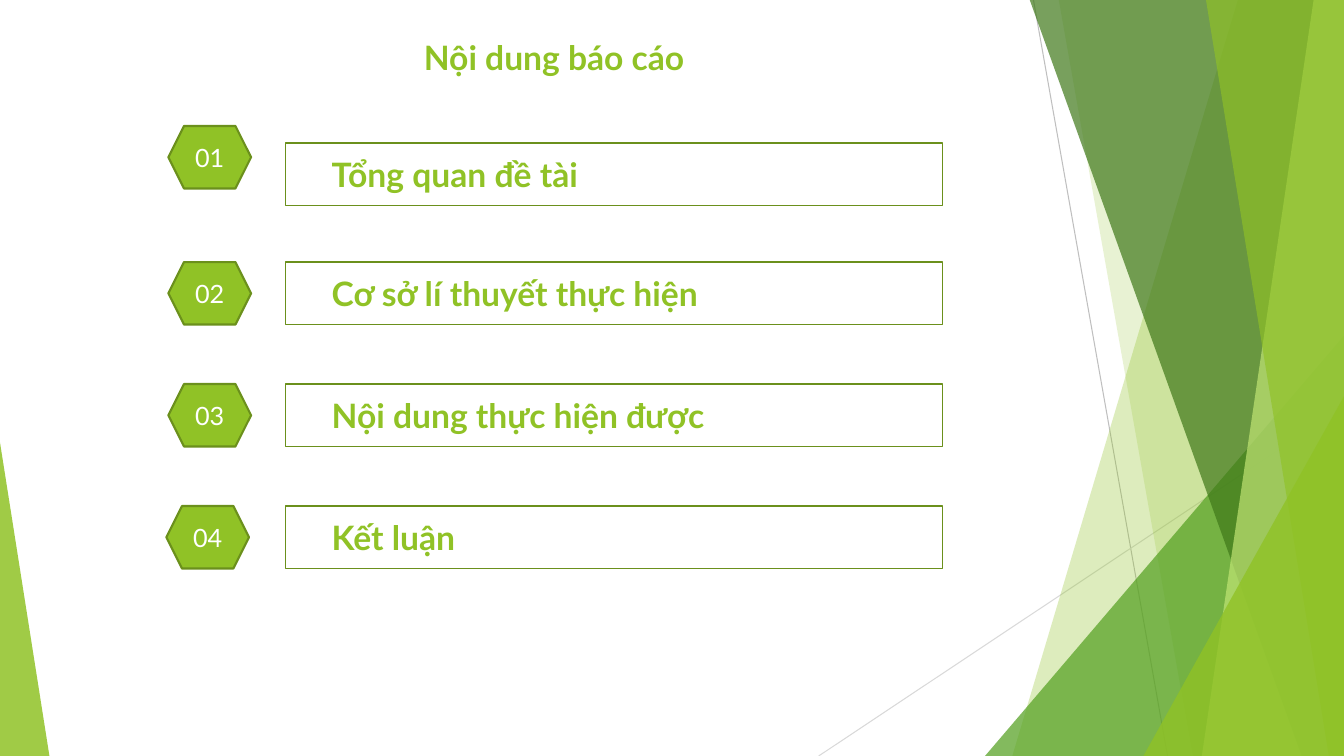
"""Build the report contents slide with its green faceted border."""
from dataclasses import dataclass

from lxml.etree import SubElement
from pptx import Presentation
from pptx.dml.color import RGBColor
from pptx.enum.shapes import MSO_CONNECTOR, MSO_SHAPE
from pptx.enum.text import MSO_ANCHOR, PP_ALIGN
from pptx.oxml.ns import qn
from pptx.shapes.autoshape import Shape
from pptx.slide import Slide
from pptx.text.text import TextFrame
from pptx.util import Inches, Pt

COLORS = {
    "lime": "90C226",
    "pale": "C0E474",
    "leaf": "54A021",
    "forest": "3F7819",
    "outline": "6B901C",
    "white": "FFFFFF",
    "grey": "BFBFBF",
    "light_grey": "D9D9D9",
}
FONT = "Lato"
WIDTH, HEIGHT = 13.33, 7.5
BLEED_TOP = -0.01
ROW_HEIGHT = 0.62


@dataclass
class Ray:
    """A thin line behind the facets."""
    start: tuple[float, float]
    end: tuple[float, float]
    color: str


@dataclass
class Band:
    """A full-height facet that reaches the right edge."""
    top_x: float
    bottom_x: float
    color: str
    opacity: int


@dataclass
class Corner:
    """A right triangle standing on the bottom edge."""
    left: float
    top: float
    width: float
    apex: float
    color: str
    opacity: int


@dataclass
class Section:
    """A numbered line of the contents."""
    title: str
    top: float
    badge_top: float
    badge_left: float = 1.67


RAYS = [
    Ray((10.25, 0), (11.58, HEIGHT), "grey"),
    Ray((WIDTH, 4.03), (8.12, HEIGHT), "light_grey"),
]
FACETS = [
    Band(12.28, 10.04, "lime", 30),
    Band(10.5, 11.83, "lime", 20),
    Corner(9.77, 3.33, 3.56, 1, "leaf", 72),
    Band(10.21, 12.91, "forest", 70),
    Band(13.03, 11.92, "pale", 70),
    Band(11.96, 13.18, "lime", 65),
    Corner(11.34, 3.93, 1.99, 1, "lime", 80),
    Corner(0, 4.39, 0.49, 0, "lime", 85),
]
SECTIONS = [
    Section("Tổng quan đề tài", 1.42, 1.25),
    Section("Cơ sở lí thuyết thực hiện", 2.6, 2.6),
    Section("Nội dung thực hiện được", 3.81, 3.81),
    Section("Kết luận", 5.02, 5.02, 1.65),
]


def rgb(name: str) -> RGBColor:
    """Return a named colour."""
    return RGBColor.from_string(COLORS[name])


def write(frame: TextFrame, text: str, size: int, color: str,
          bold: bool, align: PP_ALIGN) -> None:
    """Put one formatted line of text in a frame."""
    frame.text = text
    frame.word_wrap = True
    frame.vertical_anchor = MSO_ANCHOR.MIDDLE
    line = frame.paragraphs[0]
    line.alignment = align
    font = line.runs[0].font
    font.name, font.size, font.bold = FONT, Pt(size), bold
    font.color.rgb = rgb(color)


def draw_ray(slide: Slide, ray: Ray) -> None:
    """Draw one thin line."""
    ends = [Inches(length) for length in (*ray.start, *ray.end)]
    connector = slide.shapes.add_connector(MSO_CONNECTOR.STRAIGHT, *ends)
    connector.line.color.rgb = rgb(ray.color)
    connector.line.width = Pt(0.75)
    SubElement(connector._element.spPr, qn("a:effectLst"))


def outline_facet(slide: Slide, facet: Band | Corner) -> Shape:
    """Add the bare shape of a facet."""
    if isinstance(facet, Corner):
        triangle = slide.shapes.add_shape(
            MSO_SHAPE.ISOSCELES_TRIANGLE, Inches(facet.left), Inches(facet.top),
            Inches(facet.width), Inches(HEIGHT - facet.top))
        triangle.adjustments[0] = facet.apex
        return triangle
    corners = [(WIDTH, BLEED_TOP), (WIDTH, HEIGHT), (facet.bottom_x, HEIGHT)]
    builder = slide.shapes.build_freeform(Inches(facet.top_x), Inches(BLEED_TOP))
    builder.add_line_segments([(Inches(x), Inches(y)) for x, y in corners])
    return builder.convert_to_shape()


def draw_facet(slide: Slide, facet: Band | Corner) -> None:
    """Draw one translucent facet."""
    shape = outline_facet(slide, facet)
    shape.shadow.inherit = False
    shape.line.fill.background()
    shape.fill.solid()
    shape.fill.fore_color.rgb = rgb(facet.color)
    tint = shape._element.spPr.find(qn("a:solidFill")).find(qn("a:srgbClr"))
    SubElement(tint, qn("a:alpha"), val=str(facet.opacity * 1000))


def add_outlined(slide: Slide, kind: MSO_SHAPE, left: float, top: float,
                 width: float, line_width: float) -> Shape:
    """Add a row-high shape with the dark green outline."""
    shape = slide.shapes.add_shape(
        kind, Inches(left), Inches(top), Inches(width), Inches(ROW_HEIGHT))
    shape.shadow.inherit = False
    shape.line.color.rgb = rgb("outline")
    shape.line.width = Pt(line_width)
    return shape


def draw_section(slide: Slide, number: int, section: Section) -> None:
    """Draw a numbered badge and the box beside it."""
    badge = add_outlined(slide, MSO_SHAPE.HEXAGON, section.badge_left,
                         section.badge_top, 0.82, 1.5)
    badge.fill.solid()
    badge.fill.fore_color.rgb = rgb("lime")
    badge.text_frame.margin_left = badge.text_frame.margin_right = 0
    write(badge.text_frame, f"{number:02}", 18, "white", False, PP_ALIGN.CENTER)

    box = add_outlined(slide, MSO_SHAPE.RECTANGLE, 2.83, section.top, 6.52, 1)
    box.fill.background()
    box.text_frame.margin_left = Inches(0.46)
    write(box.text_frame, section.title, 24, "lime", True, PP_ALIGN.LEFT)


def main() -> None:
    """Build and save the slide."""
    deck = Presentation()
    deck.slide_width, deck.slide_height = Inches(WIDTH), Inches(HEIGHT)
    slide = deck.slides.add_slide(deck.slide_layouts[5])
    heading = slide.shapes.title
    heading.left, heading.top = Inches(0.85), Inches(0.31)
    heading.width, heading.height = Inches(9.29), Inches(0.52)
    write(heading.text_frame, "Nội dung báo cáo", 24, "lime", True, PP_ALIGN.CENTER)
    for ray in RAYS:
        draw_ray(slide, ray)
    for facet in FACETS:
        draw_facet(slide, facet)
    for number, section in enumerate(SECTIONS, start=1):
        draw_section(slide, number, section)
    deck.save("out.pptx")


if __name__ == "__main__":
    main()
